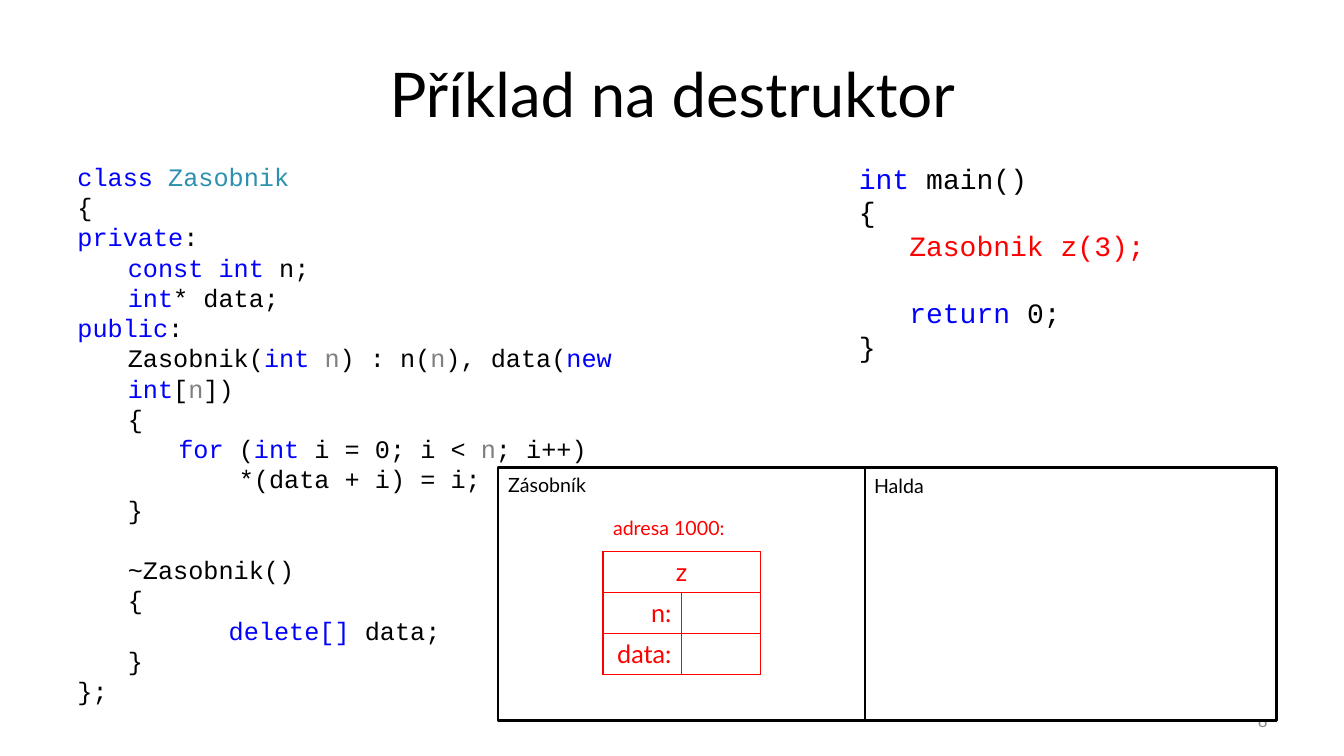
"""Build the destructor example slide."""
import dataclasses

import pptx
import pptx.dml.color
import pptx.enum.shapes
import pptx.enum.text
import pptx.oxml
import pptx.oxml.ns
import pptx.util

ALIGN = pptx.enum.text.PP_ALIGN
ANCHOR = pptx.enum.text.MSO_ANCHOR


@dataclasses.dataclass(frozen=True)
class Theme:
    ink: str = "000000"
    paper: str = "FFFFFF"
    key: str = "0000FF"
    kind: str = "2B91AF"
    arg: str = "808080"
    hot: str = "FF0000"
    pale: str = "8C8C8C"
    sans: str = "Lato"
    mono: str = "Courier New"
    title: int = 44
    main: int = 20
    body: int = 18
    label: int = 14
    foot: int = 12


THEME = Theme()


def px(size):
    return pptx.util.Emu(size * 9144)


def rgb(tone):
    return pptx.dml.color.RGBColor.from_string(tone)


def paint(run, size, tone, face=THEME.sans):
    run.font.size = pptx.util.Pt(size)
    run.font.name = face
    run.font.color.rgb = rgb(tone)


def frame(slide, box, anchor=ANCHOR.TOP):
    text = slide.shapes.add_textbox(*map(px, box)).text_frame
    text.word_wrap = True
    text.vertical_anchor = anchor
    return text


def label(slide, box, words, size, tone=THEME.ink, align=ALIGN.LEFT, anchor=ANCHOR.TOP):
    text = frame(slide, box, anchor)
    text.text = words
    text.paragraphs[0].alignment = align
    paint(text.paragraphs[0].runs[0], size, tone)


def key(words):
    return words, THEME.key


def arg(words):
    return words, THEME.arg


def plain(words):
    return words, THEME.ink


def code(slide, box, size, lines):
    """Write lines of (depth, runs); a line of None leaves a gap one line high."""
    text = frame(slide, box)
    para, gap = text.paragraphs[0], False
    for index, line in enumerate(lines):
        if line is None:
            gap = True
            continue
        if index:
            para = text.add_paragraph()
        depth, *parts = line
        para.level = depth
        para._p.get_or_add_pPr().set("marL", str(px(50 * depth)))
        if gap:
            para.space_before = pptx.util.Pt(size * 1.2)
            gap = False
        for words, tone in parts:
            run = para.add_run()
            run.text = words
            paint(run, size, tone, THEME.mono)


def panel(slide, box):
    shape = slide.shapes.add_shape(pptx.enum.shapes.MSO_SHAPE.RECTANGLE, *map(px, box))
    shape.shadow.inherit = False
    shape.fill.solid()
    shape.fill.fore_color.rgb = rgb(THEME.paper)
    shape.line.color.rgb = rgb(THEME.ink)
    shape.line.width = pptx.util.Pt(2)


def edge(cell, sides):
    """Draw the named sides of a cell and hide the others."""
    props = cell._tc.get_or_add_tcPr()
    for spot, side in enumerate("LRTB"):
        fill = "<a:noFill/>"
        if side in sides:
            fill = f'<a:solidFill><a:srgbClr val="{THEME.hot}"/></a:solidFill>'
        line = f'<a:ln{side} {pptx.oxml.ns.nsdecls("a")} w="12700">{fill}</a:ln{side}>'
        props.insert(spot, pptx.oxml.parse_xml(line))


def record(slide, box, rows):
    """Add the table of one object; rows hold words, size and alignment."""
    table = slide.shapes.add_table(len(rows), 2, *map(px, box)).table
    table.first_row = table.horz_banding = False
    for index, (words, size, align) in enumerate(rows):
        for cell in table.rows[index].cells:
            cell.fill.background()
            edge(cell, "LRTB" if index else "B")
        cell = table.cell(index, 0)
        if align != ALIGN.RIGHT:
            cell.merge(table.cell(index, 1))
        cell.text = words
        para = cell.text_frame.paragraphs[0]
        para.alignment = align
        paint(para.runs[0], size, THEME.hot)


def main():
    deck = pptx.Presentation()
    deck.slide_width, deck.slide_height = px(1333), px(750)
    slide = deck.slides.add_slide(deck.slide_layouts[6])

    label(slide, (67, 30, 1200, 125), "Příklad na destruktor", THEME.title,
          align=ALIGN.CENTER, anchor=ANCHOR.MIDDLE)
    label(slide, (956, 695, 311, 40), "8", THEME.foot, THEME.pale,
          ALIGN.RIGHT, ANCHOR.MIDDLE)
    code(slide, (842, 155, 364, 212), THEME.main, [
        (0, key("int "), plain("main()")),
        (0, plain("{")),
        (1, ("Zasobnik z(3);", THEME.hot)),
        None,
        (1, key("return"), plain(" 0;")),
        (0, plain("}")),
    ])
    panel(slide, (857, 464, 409, 251))
    panel(slide, (494, 464, 364, 251))
    record(slide, (598, 507, 156, 162), [
        ("adresa 1000:", THEME.label, ALIGN.LEFT),
        ("z", THEME.body, ALIGN.CENTER),
        ("n:", THEME.body, ALIGN.RIGHT),
        ("data:", THEME.body, ALIGN.RIGHT),
    ])
    code(slide, (67, 155, 664, 525), THEME.body, [
        (0, key("class "), ("Zasobnik", THEME.kind)),
        (0, plain("{")),
        (0, key("private"), plain(":")),
        (1, key("const int"), plain(" n;")),
        (1, key("int"), plain("* data;")),
        (0, key("public"), plain(":")),
        (1, plain("Zasobnik("), key("int "), arg("n"), plain(") : n("), arg("n"),
         plain("), data("), key("new int"), plain("["), arg("n"), plain("])")),
        (1, plain("{")),
        (2, key("for"), plain(" ("), key("int"), plain(" i = 0; i < "), arg("n"),
         plain("; i++)")),
        (2, plain("    *(data + i) = i;")),
        (1, plain("}")),
        None,
        (1, plain("~Zasobnik()")),
        (1, plain("{")),
        (3, key("delete[]"), plain(" data;")),
        (1, plain("}")),
        (0, plain("};")),
    ])
    label(slide, (494, 464, 131, 34), "Zásobník", THEME.label)
    label(slide, (857, 465, 131, 34), "Halda", THEME.label)
    deck.save("out.pptx")


if __name__ == "__main__":
    main()
